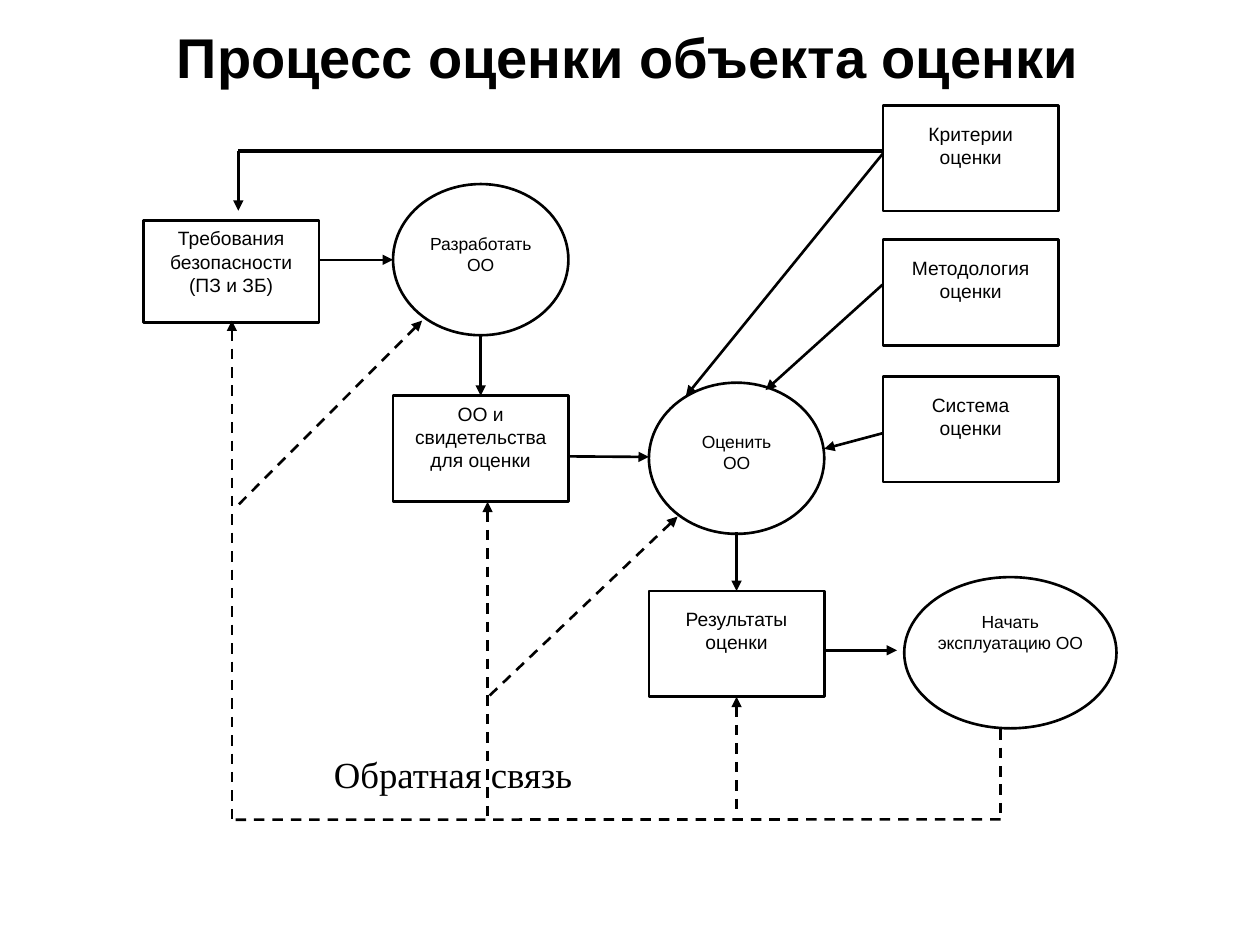
from lxml import etree
from pptx import Presentation
from pptx import util as u
from pptx.dml.color import RGBColor
from pptx.enum import dml, shapes, text
from pptx.oxml import ns

BLACK = RGBColor(0, 0, 0)
WHITE = RGBColor(255, 255, 255)
RECT = shapes.MSO_SHAPE.RECTANGLE
OVAL = shapes.MSO_SHAPE.OVAL
COLS = (82, 224.6, 370.8, 504.6)
WIDE = 100.2
TALL = 60.5
ROUND = 86.4
BASE = 468.4


class Chart:
    sans = "Arial"
    serif = "Times New Roman"
    line = 1.5

    def __init__(self, deck):
        self.slide = deck.slides.add_slide(deck.slide_layouts[5])

    def add_run(self, para, words, size, font, bold=False):
        run = para.add_run()
        run.text = words
        run.font.size = u.Pt(size)
        run.font.name = font
        run.font.bold = bold
        run.font.color.rgb = BLACK

    def title(self, words, x, y, w, h):
        box = self.slide.shapes.title
        box.left, box.top, box.width, box.height = map(u.Pt, (x, y, w, h))
        frame = box.text_frame
        frame.word_wrap = True
        frame.vertical_anchor = text.MSO_ANCHOR.MIDDLE
        para = frame.paragraphs[0]
        para.alignment = text.PP_ALIGN.CENTER
        self.add_run(para, words, 32, self.sans, True)

    def node(self, kind, lines, x, y, w, h, size, side, top):
        box = self.slide.shapes.add_shape(kind, *map(u.Pt, (x, y, w, h)))
        box.shadow.inherit = False
        box.fill.solid()
        box.fill.fore_color.rgb = WHITE
        box.line.color.rgb = BLACK
        box.line.width = u.Pt(self.line)
        frame = box.text_frame
        frame.word_wrap = True
        frame.vertical_anchor = text.MSO_ANCHOR.TOP
        frame.margin_left = frame.margin_right = u.Pt(side)
        frame.margin_top, frame.margin_bottom = u.Pt(top), u.Pt(3.6)
        for i, words in enumerate(lines):
            para = frame.add_paragraph() if i else frame.paragraphs[0]
            para.alignment = text.PP_ALIGN.CENTER
            self.add_run(para, words, size, self.sans)
        return box

    def rect(self, lines, x, y, h=TALL, top=9.4):
        return self.node(RECT, lines, x, y, WIDE, h, 11, 7.2, top)

    def oval(self, words, x, y, w=WIDE, side=0, top=15.1):
        return self.node(OVAL, [words], x, y, w, ROUND, 10, side, top)

    def link(self, x1, y1, x2, y2, tip="tailEnd", dash=False, width=line):
        link = self.slide.shapes.add_connector(
            shapes.MSO_CONNECTOR.STRAIGHT, *map(u.Pt, (x1, y1, x2, y2)))
        link.line.color.rgb = BLACK
        link.line.width = u.Pt(width)
        if dash:
            link.line.dash_style = dml.MSO_LINE.DASH
        if tip:
            ln = link.line._get_or_add_ln()
            etree.SubElement(ln, ns.qn("a:" + tip), type="triangle")
        etree.SubElement(link._element.spPr, ns.qn("a:effectLst"))
        return link

    def table(self, words, x, y, w, h):
        grid = self.slide.shapes.add_table(1, 1, *map(u.Pt, (x, y, w, h))).table
        grid.first_row = grid.horz_banding = False
        cell = grid.cell(0, 0)
        props = cell._tc.get_or_add_tcPr()
        for edge in ("lnL", "lnR", "lnT", "lnB"):
            ln = etree.SubElement(props, ns.qn("a:" + edge))
            etree.SubElement(ln, ns.qn("a:noFill"))
        cell.fill.background()
        self.add_run(cell.text_frame.paragraphs[0], words, 21, self.serif)


def main():
    deck = Presentation()
    deck.slide_width, deck.slide_height = u.Pt(720), u.Pt(540)
    c = Chart(deck)
    c.title("Процесс оценки объекта оценки", 11.5, 3.6, 694.8, 56.9)

    c.rect(["Требования", "безопасности", "(ПЗ и ЗБ)"],
           COLS[0], 126, 58.3, 3.6)
    proof = c.rect(["ОО и", "свидетельства для оценки"],
                   COLS[1], 226.2, top=3.6)
    c.oval("Разработать ОО", COLS[1], 105.2)
    c.oval("Оценить ОО", COLS[2], 218.7, side=7.2)
    result = c.rect(["Результаты", "оценки"], COLS[2], 337.7)
    c.oval("Начать эксплуатацию ОО", 516.7, 329.8, 121.3, top=6.5)
    for name, y in (("Критерии", 60.2), ("Методология", 137),
                    ("Система", 215.1)):
        c.rect([name, "оценки"], COLS[3], y)

    c.link(274.7, 191.6, 274.7, 226.2).end_connect(proof, 0)
    c.link(420.9, 304, 420.9, 337.7).end_connect(result, 0)
    for ends in ((182.6, 148.5, 224.6, 148.5),
                 (324.8, 260.8, 370.8, 261.1),
                 (471, 371.6, 512.6, 371.6),
                 (136.2, 86.2, 136.2, 120.4),
                 (504.3, 88, 391.9, 226.4),
                 (504.3, 162.7, 437.5, 222.9),
                 (504.6, 247.5, 471, 256.5)):
        c.link(*ends)

    c.link(504.3, 86.2, 136.2, 86.2, None, width=2.25)
    c.link(571.8, 468.2, 132.5, BASE, None, True)
    c.link(571.8, 416.7, 571.8, BASE, None, True)
    back = c.link(420.9, 398.2, 420.9, 466.8, "headEnd", True)
    back.begin_connect(result, 2)
    for ends in ((132.5, 183.2, 132.5, BASE),
                 (278.6, 286.7, 278.6, BASE),
                 (387.2, 295.2, 278.6, 398.6),
                 (241.2, 183.2, 136.2, 288.5)):
        c.link(*ends, "headEnd", True)

    c.table("Обратная связь", 183.6, 428.4, 187.2, 32.4)
    deck.save("out.pptx")


if __name__ == "__main__":
    main()
